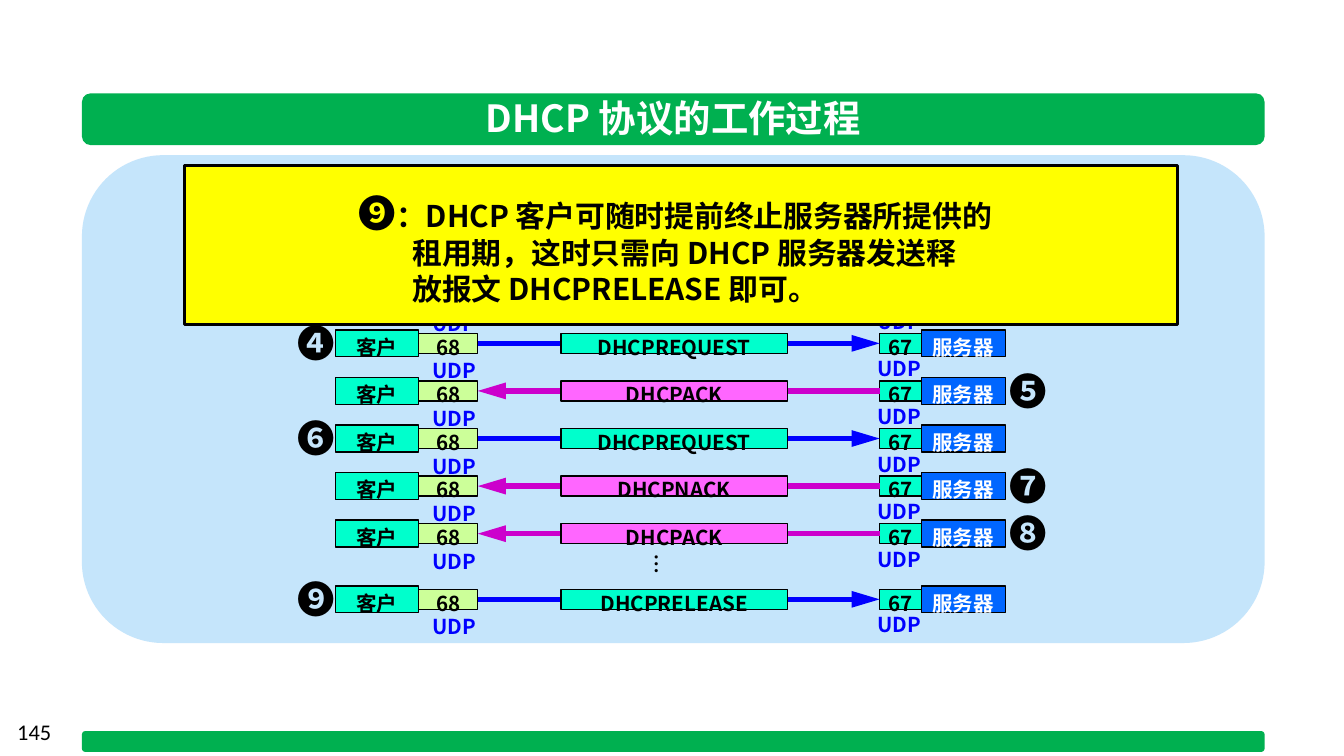
from pptx import Presentation
from pptx.dml.color import RGBColor
from pptx.enum.shapes import MSO_CONNECTOR as LINE, MSO_SHAPE as SHAPE
from pptx.enum.text import MSO_ANCHOR as ANCHOR, MSO_AUTO_SIZE as FIT, PP_ALIGN as ALIGN
from pptx.oxml.ns import qn
from pptx.util import Inches, Pt
from lxml.etree import SubElement

THEME = {
    "font": "Noto Sans CJK SC", "plain": "Calibri",
    "title": 20, "badge": 20, "note": 16, "page": 12, "label": 11, "lead": 17,
    "black": "000000", "white": "FFFFFF", "green": "00B050", "panel": "C5E5FB",
    "yellow": "FFFF00", "mint": "00FFCC", "lime": "CCFF99", "pink": "FF66FF",
    "server": "0066FF", "blue": "0000FF", "purple": "CC00CC",
}

deck = Presentation()
deck.slide_width = Inches(10)
deck.slide_height = deck.slide_width * 9 // 16
slide = deck.slides.add_slide(deck.slide_layouts[6])
UNIT = deck.slide_width / 100  # one column or row of the grid


def block(area, fill, edge=0, kind=SHAPE.RECTANGLE):
    """Add a filled shape; area is left, top, width, height in grid units."""
    item = slide.shapes.add_shape(kind, *[round(n * UNIT) for n in area])
    item.shadow.inherit = False
    item.fill.solid()
    item.fill.fore_color.rgb = RGBColor.from_string(THEME[fill])
    if edge:
        item.line.color.rgb = RGBColor.from_string(THEME["black"])
        item.line.width = Pt(edge)
    else:
        item.line.fill.background()
    return item


def write(host, lines, color="black", align=ALIGN.LEFT, lead=None, wrap=False,
          face="font", bold=True):
    """Fill a shape, or a new text box when host is an area; lines hold (text, size) runs."""
    if isinstance(host, tuple):
        host = slide.shapes.add_textbox(*[round(n * UNIT) for n in host])
        host.text_frame.auto_size = FIT.SHAPE_TO_FIT_TEXT
    else:
        host.text_frame.vertical_anchor = ANCHOR.MIDDLE
    frame = host.text_frame
    frame.word_wrap = wrap
    for i, runs in enumerate(lines):
        para = frame.add_paragraph() if i else frame.paragraphs[0]
        para.alignment = align
        if lead:
            para.line_spacing = Pt(lead)
        for text, size in runs:
            run = para.add_run()
            run.text = text
            run.font.size, run.font.bold = Pt(THEME[size]), bold
            run.font.name = THEME[face]
            run.font.color.rgb = RGBColor.from_string(THEME[color])
            SubElement(run.font._element, qn("a:ea"), typeface=THEME[face])
    return host


# Panel, title bar and foot bar
block((6.1, 11.55, 88, 36.3), "panel", kind=SHAPE.ROUNDED_RECTANGLE)
for top, high in [(6.95, 3.85), (54.4, 1.55)]:
    block((6.1, top, 88, high), "green", kind=SHAPE.ROUNDED_RECTANGLE)
write((34.3, 6.6, 31.6, 4.4), [[("DHCP 协议的工作过程", "title")]], "white", ALIGN.CENTER)

# Message rows: slot, badge, message, whether the client sends it
FIRST, PITCH = 24.55, 3.54
rows = [
    (0, "❹", "DHCPREQUEST", True),
    (1, "❺", "DHCPACK", False),
    (2, "❻", "DHCPREQUEST", True),
    (3, "❼", "DHCPNACK", False),
    (4, "❽", "DHCPACK", False),
    (5.38, "❾", "DHCPRELEASE", True),
]
lead = THEME["lead"]

# UDP labels under the ports; the first pair belongs to the row behind the note
for slot in [-1] + [row[0] for row in rows]:
    for left, drop in [(31.2, 1.1), (64.3, 0.95)]:
        write((left, FIRST + slot * PITCH + drop, 5.5, 3.4),
              [[("UDP", "label")]], "blue", lead=lead)

for slot, badge, name, sent in rows:
    top = FIRST + slot * PITCH
    # Hosts and ports: left, inset, width, height, fill, text, text colour
    cells = []
    for left, inset, wide, high, fill, text, ink in [
        (24.95, 0, 6.2, 2, "mint", "客户", "black"),
        (68.55, 0, 6.25, 2, "server", "服务器", "white"),
        (31.15, 0.25, 4.4, 1.5, "lime", "68", "black"),
        (65.45, 0.25, 3.1, 1.5, "mint", "67", "black"),
    ]:
        cell = block((left, top + inset, wide, high), fill, 0.75)
        cells.append(write(cell, [[(text, "label")]], ink, ALIGN.CENTER, lead))

    # Arrow between the two ports
    ends = [(cells[2], 3), (cells[3], 1)]
    if not sent:
        ends.reverse()
    arrow = slide.shapes.add_connector(LINE.STRAIGHT, 0, 0, 0, 0)
    arrow.begin_connect(*ends[0])
    arrow.end_connect(*ends[1])
    arrow.line.width = Pt(3)
    arrow.line.color.rgb = RGBColor.from_string(THEME["blue" if sent else "purple"])
    SubElement(arrow.line._get_or_add_ln(), qn("a:tailEnd"), type="triangle", len="lg")
    SubElement(arrow._element.spPr, qn("a:effectLst"))

    # Message name and step badge
    label = block((41.75, top + 0.25, 16.85, 1.5), "mint" if sent else "pink", 0.75)
    write(label, [[(name, "label")]], align=ALIGN.CENTER, lead=lead)
    write((21.15 if sent else 74.1, top - 0.25, 4.5, 3.5), [[(badge, "badge")]], lead=lead)

# Upright dots before the last row
dots = write((46.85, 40.3, 3.5, 3.4), [[("…", "label")]], lead=lead)
dots.rotation = 270

# Note over the upper rows
block((13.7, 12.3, 73.9, 11.85), "yellow", 1.5)
note = write((25.7, 13.65, 50.9, 9.8), [
    [("❾", "badge"), ("：DHCP 客户可随时提前终止服务器所提供的", "note")],
    [("租用期，这时只需向 DHCP 服务器发送释", "note")],
    [("放报文 DHCPRELEASE 即可。", "note")],
], wrap=True)
for para in note.text_frame.paragraphs[1:]:
    para._p.get_or_add_pPr().set("marL", str(round(4 * UNIT)))

# Page number
write((0.3, 52.95, 23.3, 3), [[("145", "page")]], wrap=True, face="plain", bold=False)

deck.save("out.pptx")
